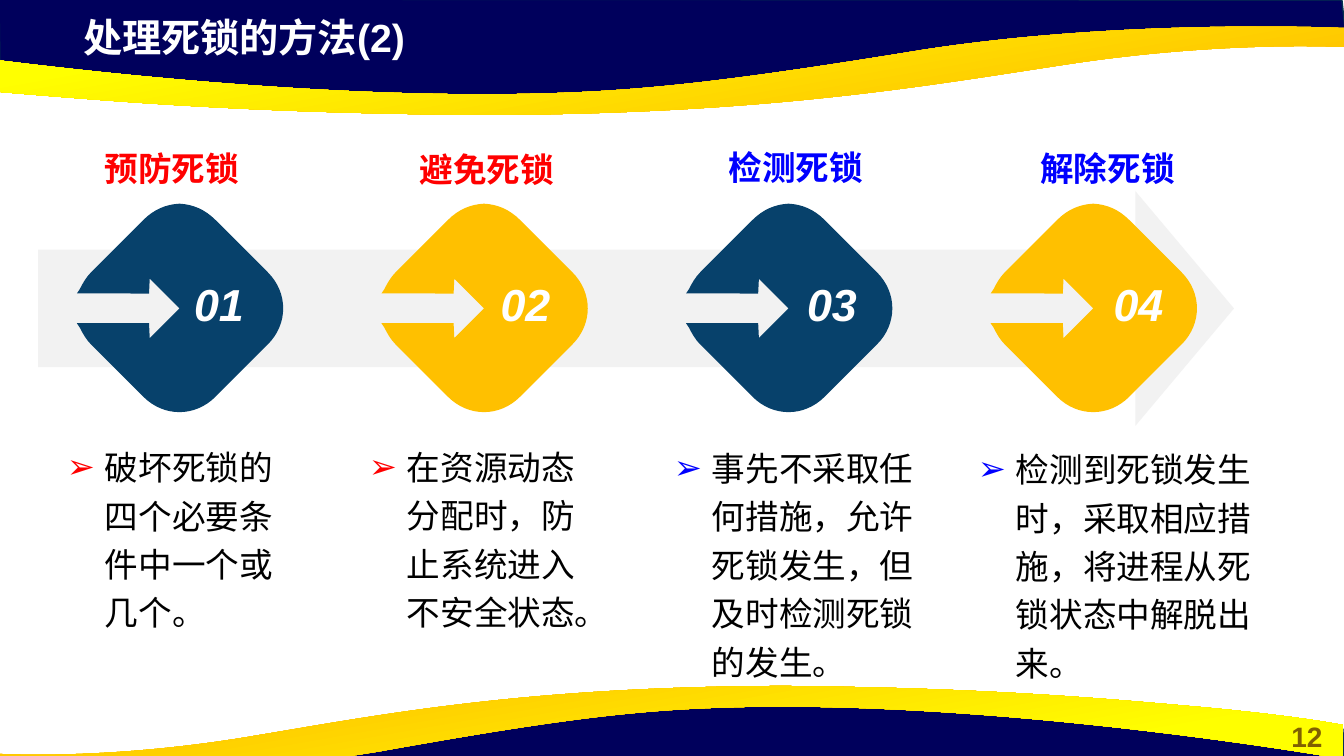
from dataclasses import dataclass

from lxml.etree import SubElement
from pptx import Presentation
from pptx.dml.color import RGBColor
from pptx.enum.shapes import MSO_SHAPE
from pptx.enum.text import MSO_ANCHOR as Anchor, MSO_AUTO_SIZE as AutoSize, PP_ALIGN as Align
from pptx.oxml.ns import qn
from pptx.util import Pt

TITLE = "处理死锁的方法(2)"
PAGE_NUMBER = "12"
# heading, heading box, heading line spacing, accent, explanation, explanation box
METHODS = [
    ("预防死锁", (24, 143, 296, 43), 1.0, "prevent",
     "破坏死锁的四个必要条件中一个或几个。", (57, 434, 250, 161)),
    ("避免死锁", (304, 140, 366, 43), 1.1, "prevent",
     "在资源动态分配时，防止系统进入不安全状态。", (359, 434, 250, 234)),
    ("检测死锁", (666, 142, 260, 43), 1.0, "recover",
     "事先不采取任何措施，允许死锁发生，但及时检测死锁的发生。", (664, 435, 282, 232)),
    ("解除死锁", (937, 143, 341, 43), 1.0, "recover",
     "检测到死锁发生时，采取相应措施，将进程从死锁状态中解脱出来。", (968, 436, 301, 161)),
]


@dataclass(frozen=True)
class Theme:
    font: str = "Arial"
    navy: str = "00005C"
    navy_edge: str = "05304F"
    gold: str = "FFC000"
    yellow: str = "FFFF00"
    blue: str = "07416B"
    track: str = "F2F2F2"
    white: str = "FFFFFF"
    black: str = "000000"
    page: str = "806000"
    prevent: str = "FF0000"
    recover: str = "0000FF"
    title_size: int = 28
    number_size: int = 32
    text_size: int = 24
    page_size: int = 20


THEME = Theme()
EMU_PER_PX = 914400 / 100.8
WIDTH, HEIGHT = 1344, 756

# Outlines in px: a step of one point is straight, a step of three is a Bezier curve.
NAVY_BAND = [[(-1, -1)], [(0, 71)], [(295, 103)], [(563, 101)], [(801, 89)], [(1024, 50)],
             [(1248, 33)], [(1346, 38)], [(1342, 0)]]
GOLD_WAVE = [
    [(487, 115)],
    [(447, 115), (404, 114), (359, 113)],
    [(208, 109), (111, 101), (36, 95)],
    [(-89, 85), (-131, 76), (-134, 76)],
    [(-134, 42)],
    [(-134, 42), (220, 99), (521, 94)],
    [(631, 92), (714, 84), (922, 50)],
    [(1128, 18), (1344, 28), (1344, 28)],
    [(1344, 47)], [(1341, 47)],
    [(1315, 46), (1205, 43), (1063, 65)],
    [(925, 86), (768, 114), (487, 115)],
]
TURNED_WAVE = [[(1343 - (x + 134) * 0.91, 801 - y) for x, y in step] for step in GOLD_WAVE]
ROUNDED_SQUARE = [  # around its centre, with an arrow cut into the lower left corner
    [(-74, -74)],
    [(-64, -83), (-52, -88), (-37, -88)], [(37, -88)],
    [(66, -88), (88, -66), (88, -37)], [(88, 37)],
    [(88, 66), (66, 88), (37, 88)], [(-37, 88)],
    [(-44, 88), (-51, 86), (-57, 84)],
    [(-62, 83)], [(-11, 32)], [(0, 42)], [(0, 0)],
    [(-42, 0)], [(-32, 11)], [(-83, 62)], [(-84, 57)],
    [(-86, 51), (-88, 44), (-88, 37)], [(-88, -37)],
    [(-88, -52), (-83, -64), (-74, -74)],
]
DIAMOND_X, DIAMOND_Y, DIAMOND_STEP = 179.4, 308.4, 304.6
NUMBER_X, NUMBER_STEP = 180, 306.5


def emu(*lengths):
    return [round(length * EMU_PER_PX) for length in lengths]


def rgb(colour):
    return RGBColor.from_string(colour)


def add_outline(slide, outline, fill=None):
    """Build a freeform through the step ends, then bend its curved steps."""
    start, *rest = [tuple(emu(*step[-1])) for step in outline]
    builder = slide.shapes.build_freeform(*start)
    builder.add_line_segments(rest, close=False)
    shape = builder.convert_to_shape()
    path = next(shape._element.iter(qn("a:path")))
    for step, segment in zip(outline, list(path)):
        if len(step) == 3:
            curve = SubElement(path, qn("a:cubicBezTo"))
            for point in step:
                x, y = emu(*point)
                node = SubElement(curve, qn("a:pt"))
                node.set("x", str(x - shape.left))
                node.set("y", str(y - shape.top))
            path.replace(segment, curve)
    SubElement(path, qn("a:close"))
    shape.shadow.inherit = False
    shape.line.fill.background()
    if fill:
        shape.fill.solid()
        shape.fill.fore_color.rgb = rgb(fill)
    return shape


def add_band(slide):
    band = add_outline(slide, NAVY_BAND, THEME.navy)
    band.line.color.rgb = rgb(THEME.navy_edge)
    band.line.width = Pt(1)
    return band


def add_wave(slide, outline, angle):
    fill = add_outline(slide, outline).fill
    fill.gradient()
    fill.gradient_angle = angle
    stops = ((0.11, THEME.gold), (0.78, THEME.yellow))
    for stop, (position, colour) in zip(fill.gradient_stops, stops):
        stop.position = position
        stop.color.rgb = rgb(colour)


def add_borders(slide):
    add_band(slide)
    add_wave(slide, GOLD_WAVE, 100)
    bottom_band = add_band(slide)
    bottom_band.left, bottom_band.top = emu(-3, 697)
    bottom_band.rotation = 180
    add_wave(slide, TURNED_WAVE, 280)


def write(shape, text, size, colour, bold=True, italic=False, align=Align.CENTER,
          anchor=Anchor.TOP, spacing=1.0, bullet=None):
    frame = shape.text_frame
    frame.word_wrap = True
    frame.auto_size = AutoSize.NONE
    frame.vertical_anchor = anchor
    frame.text = text
    paragraph = frame.paragraphs[0]
    paragraph.alignment = align
    paragraph.line_spacing = spacing
    if bullet:
        properties = paragraph._p.get_or_add_pPr()
        indent = emu(38)[0]
        properties.set("marL", str(indent))
        properties.set("indent", str(-indent))
        SubElement(SubElement(properties, qn("a:buClr")), qn("a:srgbClr")).set("val", bullet)
        SubElement(properties, qn("a:buFont")).set("typeface", THEME.font)
        SubElement(properties, qn("a:buChar")).set("char", "➢")
    font = paragraph.font
    font.name, font.size, font.bold, font.italic = THEME.font, Pt(size), bold, italic
    font.color.rgb = rgb(colour)


def add_text(slide, box, *args, **style):
    write(slide.shapes.add_textbox(*emu(*box)), *args, **style)


def add_title(slide):
    title = slide.shapes.title
    title.left, title.top, title.width, title.height = emu(73, 8, 774, 57)
    write(title, TITLE, THEME.title_size, THEME.white, align=Align.LEFT)
    slide.shapes._spTree.append(title._element)  # bring in front of the bands


def add_track(slide):
    track = slide.shapes.add_shape(MSO_SHAPE.RIGHT_ARROW, *emu(38, 191, 1196, 235))
    track.adjustments[0], track.adjustments[1] = 0.5, 0.42
    track.shadow.inherit = False
    track.fill.solid()
    track.fill.fore_color.rgb = rgb(THEME.track)
    track.line.fill.background()


def add_method(slide, index, method):
    heading, heading_box, spacing, accent, explanation, explanation_box = method
    colour = getattr(THEME, accent)
    centre = DIAMOND_X + index * DIAMOND_STEP
    diamond = add_outline(
        slide, [[(centre + x, DIAMOND_Y + y) for x, y in step] for step in ROUNDED_SQUARE],
        (THEME.blue, THEME.gold)[index % 2])
    diamond.rotation = 45
    add_text(slide, (NUMBER_X + index * NUMBER_STEP, 266, 78, 75), f"{index + 1:02}",
             THEME.number_size, THEME.white, italic=True, anchor=Anchor.MIDDLE)
    add_text(slide, heading_box, heading, THEME.text_size, colour, spacing=spacing)
    add_text(slide, explanation_box, explanation, THEME.text_size, THEME.black,
             bold=False, align=Align.LEFT, spacing=1.2, bullet=colour)


def main():
    deck = Presentation()
    deck.slide_width, deck.slide_height = emu(WIDTH, HEIGHT)
    slide = deck.slides.add_slide(deck.slide_layouts[5])
    add_borders(slide)
    add_text(slide, (1270, 715, 74, 44), PAGE_NUMBER, THEME.page_size, THEME.page)
    add_title(slide)
    add_track(slide)
    for index, method in enumerate(METHODS):
        add_method(slide, index, method)
    deck.save("out.pptx")


if __name__ == "__main__":
    main()
